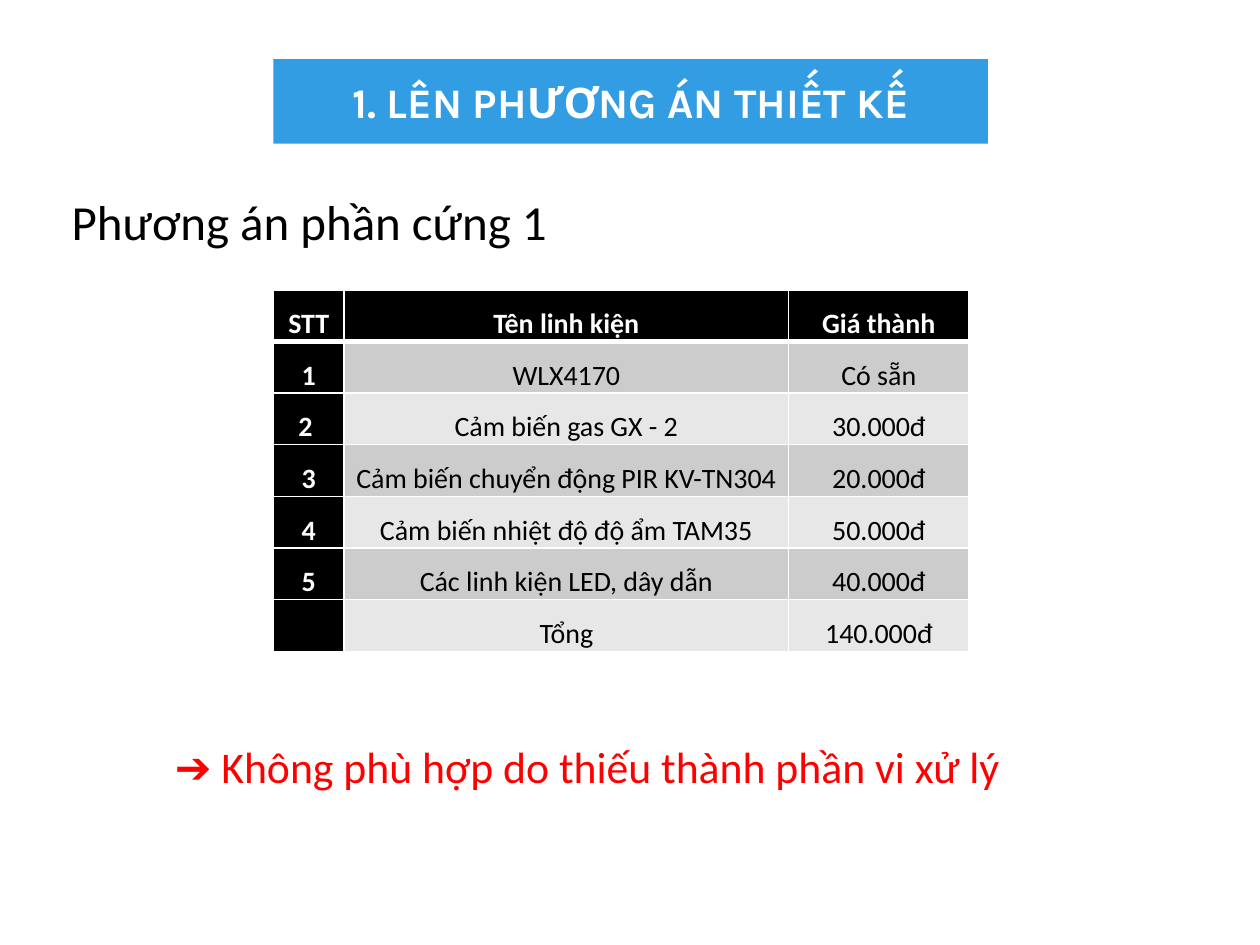
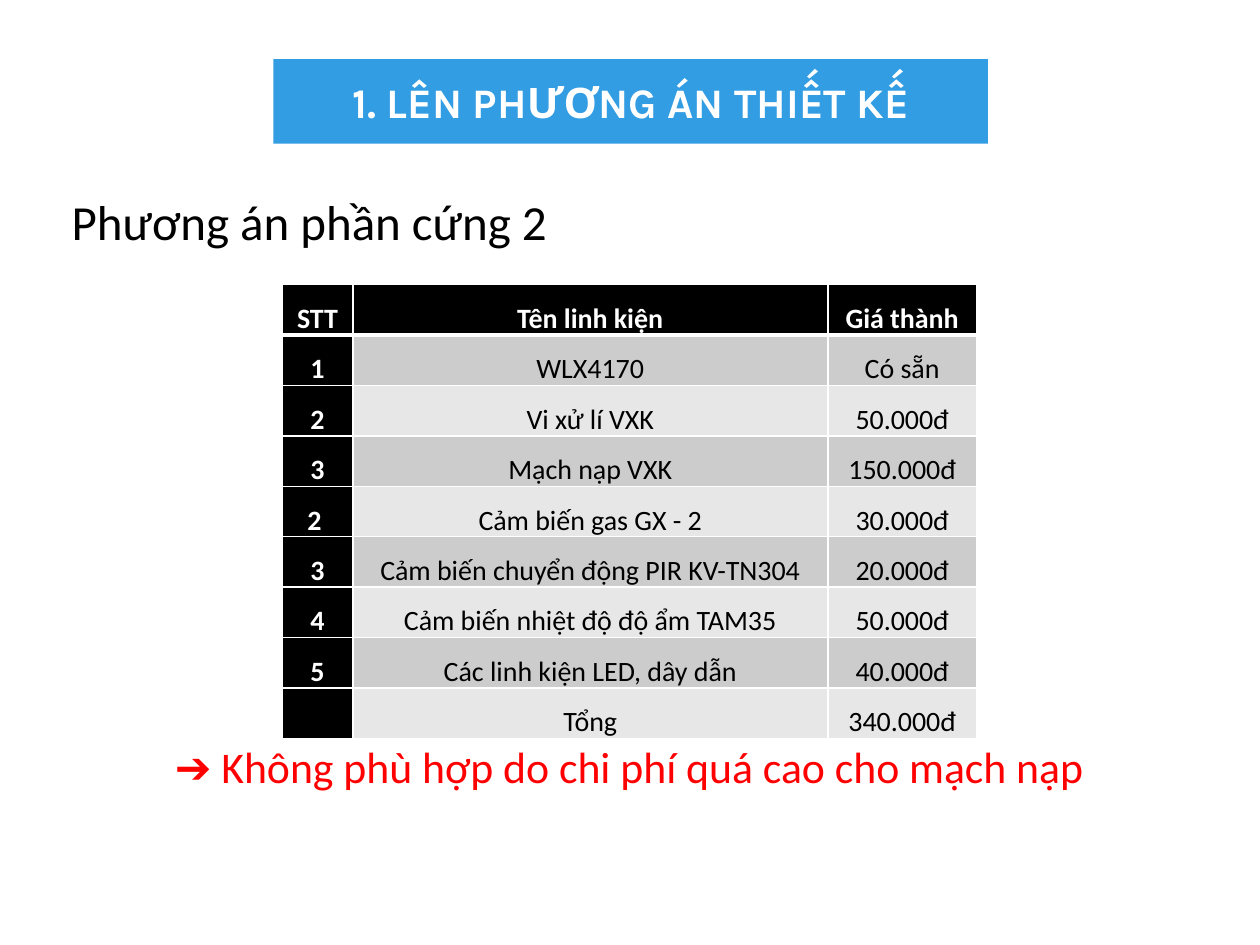
from pptx import Presentation
from pptx.dml.color import RGBColor
from pptx.enum.shapes import MSO_SHAPE
from pptx.enum.text import MSO_ANCHOR, MSO_AUTO_SIZE, PP_ALIGN
from pptx.oxml import parse_xml
from pptx.oxml.ns import nsdecls
from pptx.util import Inches, Pt

BLUE = RGBColor(0x33, 0x9D, 0xE3)
WHITE = RGBColor(0xFF, 0xFF, 0xFF)
BLACK = RGBColor(0x00, 0x00, 0x00)
RED = RGBColor(0xFF, 0x00, 0x00)
DARK = RGBColor(0xCC, 0xCC, 0xCC)
LIGHT = RGBColor(0xE7, 0xE7, 0xE7)

TITLE = "1. LÊN PHƯƠNG ÁN THIẾT KẾ"
HEADER = ("STT", "Tên linh kiện", "Giá thành")
BOARD = ("1", "WLX4170", "Có sẵn")
PARTS = [
    ("2 ", "Cảm biến gas GX - 2", "30.000đ"),
    ("3", "Cảm biến chuyển động PIR KV-TN304", "20.000đ"),
    ("4", "Cảm biến nhiệt độ độ ẩm TAM35", "50.000đ"),
    ("5", "Các linh kiện LED, dây dẫn", "40.000đ"),
]
CHIPS = [("2", "Vi xử lí VXK", "50.000đ"), ("3", "Mạch nạp VXK", "150.000đ")]

PLANS = [
    {
        "name": "Phương án phần cứng 1",
        "rows": [HEADER, BOARD, *PARTS, ("", "Tổng", "140.000đ")],
        "spot": (2.17, 2.3),
        "cols": (0.56, 3.53, 1.43),
        "high": 0.41,
        "note": "➔ Không phù hợp do thiếu thành phần vi xử lý",
        "wide": 6.9,
    },
    {
        "name": "Phương án phần cứng 2",
        "rows": [HEADER, BOARD, *CHIPS, *PARTS, ("", "Tổng", "340.000đ")],
        "spot": (2.24, 2.26),
        "cols": (0.56, 3.77, 1.18),
        "high": 0.4,
        "note": "➔ Không phù hợp do chi phí quá cao cho mạch nạp",
        "wide": 7.57,
    },
]

BOLD = {"name": "Calibri", "size": Pt(16), "bold": True}
PLAIN = {**BOLD, "bold": False}
HEAD = {"name": "Karla", "size": Pt(24), "bold": True}
NAME = {"name": "Calibri", "size": Pt(28)}
NOTE = {"name": "Calibri", "size": Pt(25)}
PAD = {"margin_left": Inches(0.07), "margin_right": Inches(0.07)}
INSET = {**PAD, "margin_top": Inches(0.04), "margin_bottom": Inches(0.04)}
CELL = {**PAD, "margin_top": 0, "margin_bottom": 0}


def apply(item, style):
    for key, value in style.items():
        setattr(item, key, value)


def write(para, text, style, color):
    para.text = text
    apply(para.font, style)
    para.font.color.rgb = color


def add_title(slide):
    band = slide.shapes.add_shape(
        MSO_SHAPE.RECTANGLE, Inches(2.17), Inches(0.47), Inches(5.67), Inches(0.67))
    band.shadow.inherit = False
    band.fill.solid()
    band.fill.fore_color.rgb = BLUE
    band.line.fill.background()
    frame = band.text_frame
    apply(frame, {**INSET, "vertical_anchor": MSO_ANCHOR.MIDDLE, "word_wrap": True})
    frame.paragraphs[0].alignment = PP_ALIGN.CENTER
    write(frame.paragraphs[0], TITLE, HEAD, WHITE)


def add_label(slide, text, box, style, color):
    frame = slide.shapes.add_textbox(*map(Inches, box)).text_frame
    apply(frame, {"word_wrap": False, "auto_size": MSO_AUTO_SIZE.SHAPE_TO_FIT_TEXT})
    write(frame.paragraphs[0], text, style, color)


def add_edges(cell, below):
    props = cell._tc.get_or_add_tcPr()
    for side, width in (("L", 1), ("R", 1), ("T", 1), ("B", below)):
        props.append(parse_xml(
            f'<a:ln{side} {nsdecls("a")} w="{Pt(width)}"><a:solidFill>'
            f'<a:srgbClr val="{WHITE}"/></a:solidFill></a:ln{side}>'))


def add_grid(slide, rows, spot, cols, high):
    size = (sum(cols), high * len(rows))
    table = slide.shapes.add_table(
        len(rows), len(cols), *map(Inches, spot + size)).table
    for col, width in zip(table.columns, cols):
        col.width = Inches(width)
    for r, row in enumerate(rows):
        table.rows[r].height = Inches(high)
        for c, text in enumerate(row):
            cell = table.cell(r, c)
            key = r == 0 or c == 0
            apply(cell, CELL)
            add_edges(cell, 3 if r == 0 else 1)
            cell.fill.solid()
            cell.fill.fore_color.rgb = BLACK if key else DARK if r % 2 else LIGHT
            para = cell.text_frame.paragraphs[0]
            apply(para, {"alignment": PP_ALIGN.CENTER, "line_spacing": 1.5})
            write(para, text, BOLD if key else PLAIN, WHITE if key else BLACK)


def main():
    deck = Presentation()
    deck.slide_width, deck.slide_height = Inches(10), Inches(7.5)
    for plan in PLANS:
        slide = deck.slides.add_slide(deck.slide_layouts[6])
        add_title(slide)
        add_label(slide, plan["name"], (0.47, 1.47, 4.02, 0.57), NAME, BLACK)
        add_grid(slide, plan["rows"], plan["spot"], plan["cols"], plan["high"])
        add_label(slide, plan["note"], (1.29, 5.82, plan["wide"], 0.52), NOTE, RED)
    deck.save("out.pptx")


if __name__ == "__main__":
    main()
